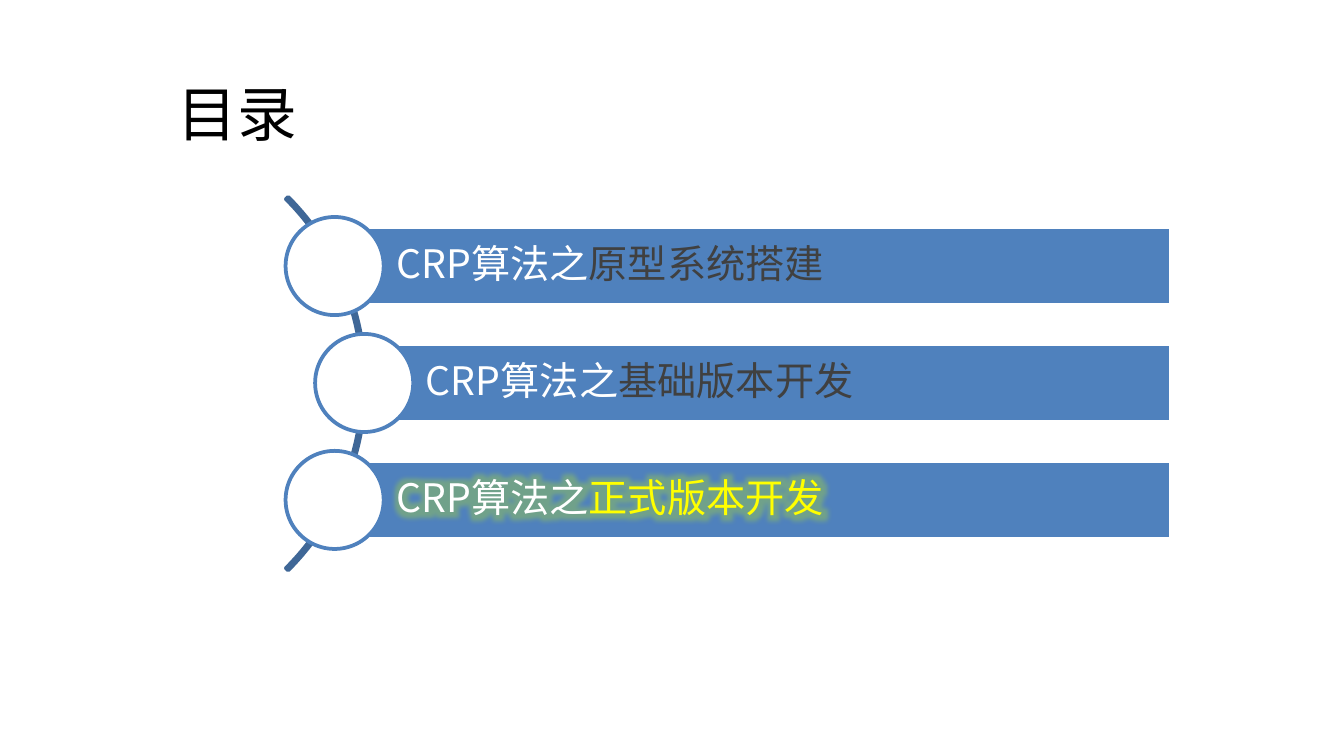
from dataclasses import dataclass

from lxml.etree import Element, SubElement
from pptx import Presentation
from pptx.dml.color import RGBColor
from pptx.enum.shapes import MSO_SHAPE as Shape
from pptx.enum.text import MSO_ANCHOR as Anchor, PP_ALIGN as Align
from pptx.oxml.ns import qn
from pptx.util import Inches, Pt

FONT = "Noto Sans CJK SC"
COLORS = {
    "blue": "4F81BD",
    "arc": "3F6797",
    "white": "FFFFFF",
    "black": "000000",
    "gray": "404040",
    "yellow": "FFFF00",
    "glow": "A5D53F",
}
PREFIX = "CRP算法之"
FIRST_TOP, STEP = 1.69, 0.87
BAR_RIGHT, BAR_HEIGHT = 8.71, 0.58
DOT = 0.73


@dataclass
class Entry:
    topic: str
    left: float
    color: str = "gray"
    glow: bool = False


ENTRIES = [
    Entry("原型系统搭建", 2.49),
    Entry("基础版本开发", 2.71),
    Entry("正式版本开发", 2.49, "yellow", True),
]


def rgb(name: str) -> RGBColor:
    return RGBColor.from_string(COLORS[name])


def add_run(p, text: str, size: float, color: str, glow: bool = False) -> None:
    r = p.add_run()
    r.text = text
    r.font.size = Pt(size)
    r.font.color.rgb = rgb(color)
    r.font.name = FONT
    props = r.font._element
    SubElement(props, qn("a:ea"), typeface=FONT)
    if glow:
        effects = Element(qn("a:effectLst"))
        halo = SubElement(effects, qn("a:glow"), rad=str(Pt(18)))
        tint = SubElement(halo, qn("a:srgbClr"), val=COLORS["glow"])
        SubElement(tint, qn("a:alpha"), val="40000")
        props.find(qn("a:solidFill")).addnext(effects)


def add_outlined(shapes, kind, left: float, top: float, width: float,
                 height: float, line: str, fill: str | None = None):
    s = shapes.add_shape(kind, Inches(left), Inches(top), Inches(width), Inches(height))
    s.shadow.inherit = False
    s.line.color.rgb = rgb(line)
    s.line.width = Pt(2)
    if fill:
        s.fill.solid()
        s.fill.fore_color.rgb = rgb(fill)
    else:
        s.fill.background()
    return s


def add_entry(shapes, entry: Entry, top: float) -> None:
    # Bar with its label
    bar = add_outlined(shapes, Shape.RECTANGLE, entry.left, top,
                       BAR_RIGHT - entry.left, BAR_HEIGHT, "white", "blue")
    tf = bar.text_frame
    tf.word_wrap = True
    tf.vertical_anchor = Anchor.MIDDLE
    tf.margin_left = Inches(0.46)
    tf.margin_top = tf.margin_right = tf.margin_bottom = Inches(0.06)
    p = tf.paragraphs[0]
    p.alignment = Align.LEFT
    p.line_spacing = 0.9
    add_run(p, PREFIX, 21, "white", entry.glow)
    add_run(p, entry.topic, 21, entry.color, entry.glow)
    # Circle centred on the bar's left end
    add_outlined(shapes, Shape.OVAL, entry.left - DOT / 2,
                 top + (BAR_HEIGHT - DOT) / 2, DOT, DOT, "blue", "white")


def main() -> None:
    # Widescreen 16:9 slide
    prs = Presentation()
    prs.slide_width = Inches(10)
    prs.slide_height = Inches(10 * 9 / 16)
    slide = prs.slides.add_slide(prs.slide_layouts[5])

    # Title
    title = slide.shapes.title
    title.left, title.top = Inches(1.22), Inches(0.37)
    title.width, title.height = Inches(7.24), Inches(0.94)
    title.text_frame.vertical_anchor = Anchor.MIDDLE
    p = title.text_frame.paragraphs[0]
    p.alignment = Align.LEFT
    add_run(p, "目录", 32, "black")

    # Arc behind the circles, from 315 to 45 degrees
    arc = add_outlined(slide.shapes, Shape.BLOCK_ARC, -1.21, 0.89, 3.93, 3.93, "arc")
    for i, value in enumerate((189, 27, 0.006)):
        arc.adjustments[i] = value

    # Agenda entries
    for i, entry in enumerate(ENTRIES):
        add_entry(slide.shapes, entry, FIRST_TOP + i * STEP)

    prs.save("out.pptx")


if __name__ == "__main__":
    main()
